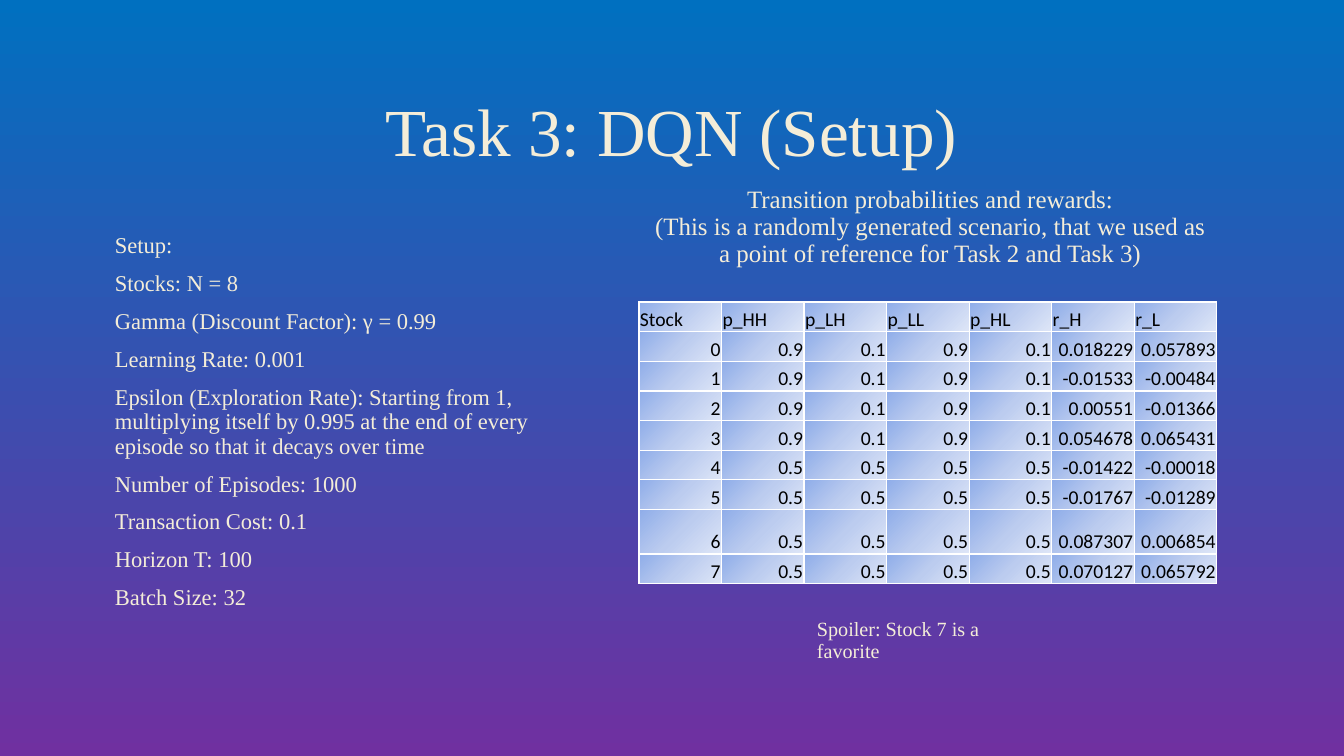
from lxml import etree
from pptx import Presentation
from pptx import util as u
from pptx.dml.color import RGBColor
from pptx.enum import text
from pptx.oxml.ns import qn

PX = 914400 / 100.8
CREAM, BLACK, WHITE, OUTLINE = "F4EDD8", "000000", "FFFFFF", "404040"
SKY, PURPLE = "0070C0", "7030A0"
CELL_STOPS = [(0, "8FADE9"), (50, "BCCCEF"), (100, "DEE6F7")]
SERIF, SANS = "Times New Roman", "Calibri"

SETUP = [
    "Setup:",
    "Stocks: N = 8",
    "Gamma (Discount Factor): γ = 0.99",
    "Learning Rate: 0.001",
    "Epsilon (Exploration Rate): Starting from 1, multiplying itself by 0.995 "
    "at the end of every episode so that it decays over time",
    "Number of Episodes: 1000",
    "Transaction Cost: 0.1",
    "Horizon T: 100",
    "Batch Size: 32",
]
CAPTION = ("Transition probabilities and rewards:\v(This is a randomly generated scenario, "
           "that we used as a point of reference for Task 2 and Task 3)")
HEADER = ["Stock", "p_HH", "p_LH", "p_LL", "p_HL", "r_H", "r_L"]
REWARDS = [
    ("0.018229", "0.057893"), ("-0.01533", "-0.00484"),
    ("0.00551", "-0.01366"), ("0.054678", "0.065431"),
    ("-0.01422", "-0.00018"), ("-0.01767", "-0.01289"),
    ("0.087307", "0.006854"), ("0.070127", "0.065792"),
]
PERSISTENT = ["0.9", "0.1", "0.9", "0.1"]
EVEN = ["0.5"] * 4
ROW_WEIGHTS = [2] * 7 + [3, 2]


def px(length):
    return u.Emu(round(length * PX))


def rgb(color):
    return RGBColor.from_string(color)


def add_xml(parent, tag, **attributes):
    return etree.SubElement(parent, qn(tag), attributes)


def add_color(parent, color, alpha=100):
    value = add_xml(parent, "a:srgbClr", val=color)
    if alpha < 100:
        add_xml(value, "a:alpha", val=str(alpha * 1000))


def format_run(run, size, font, color):
    run.font.size = u.Pt(size)
    run.font.name = font
    run.font.color.rgb = rgb(color)


def add_glow_edge(run):
    """Give the letters a faint outline and a soft drop shadow."""
    properties = run.font._element
    outline = etree.Element(qn("a:ln"), w="9525")
    add_color(add_xml(outline, "a:solidFill"), OUTLINE, 10)
    properties.insert(0, outline)
    effects = etree.Element(qn("a:effectLst"))
    shadow = add_xml(effects, "a:outerShdw", blurRad="38100", dist="25400", dir="2700000")
    add_color(shadow, BLACK, 60)
    properties.find(qn("a:solidFill")).addnext(effects)


def add_text(slide, box, lines, size, centered=False, indent=4):
    frame = slide.shapes.add_textbox(*map(px, box)).text_frame
    frame.word_wrap = True
    frame.text = "\n".join(lines)
    for paragraph in frame.paragraphs:
        paragraph.alignment = text.PP_ALIGN.CENTER if centered else text.PP_ALIGN.LEFT
        paragraph.line_spacing = 0.9
        if indent:
            paragraph.space_before = u.Pt(round(size * 0.23, 1))
            paragraph.space_after = u.Pt(6)
            paragraph._p.get_or_add_pPr().set("marL", str(px(indent)))
        for run in paragraph.runs:
            format_run(run, size, SERIF, CREAM)
            add_glow_edge(run)
    return frame


def style_cell(cell):
    """Add white borders and a diagonal gradient."""
    properties = cell._tc.get_or_add_tcPr()
    for side in ("a:lnL", "a:lnR", "a:lnT", "a:lnB"):
        border = add_xml(properties, side, w="12700")
        add_color(add_xml(border, "a:solidFill"), WHITE)
    gradient = add_xml(properties, "a:gradFill", rotWithShape="1")
    stops = add_xml(gradient, "a:gsLst")
    for position, color in CELL_STOPS:
        add_color(add_xml(stops, "a:gs", pos=str(position * 1000)), color)
    add_xml(gradient, "a:lin", ang=str(45 * 60000), scaled="0")


def add_stock_table(slide, box):
    width, height = box[2:]
    rows = [HEADER]
    for stock, rewards in enumerate(REWARDS):
        rows.append([str(stock), *(PERSISTENT if stock < 4 else EVEN), *rewards])
    table = slide.shapes.add_table(len(rows), len(HEADER), *map(px, box)).table
    table.first_row = table.horz_banding = False
    for column in table.columns:
        column.width = px(width / len(HEADER))
    for row, weight in zip(table.rows, ROW_WEIGHTS):
        row.height = px(height * weight / sum(ROW_WEIGHTS))
    for r, values in enumerate(rows):
        for c, value in enumerate(values):
            cell = table.cell(r, c)
            cell.text_frame.text = value
            cell.margin_left = cell.margin_right = cell.margin_top = px(1)
            cell.margin_bottom = 0
            cell.vertical_anchor = text.MSO_ANCHOR.BOTTOM
            paragraph = cell.text_frame.paragraphs[0]
            paragraph.alignment = text.PP_ALIGN.RIGHT if r else text.PP_ALIGN.LEFT
            format_run(paragraph.runs[0], 14, SANS, BLACK)
            style_cell(cell)


def paint_background(slide):
    fill = slide.background.fill
    fill.gradient()
    fill.gradient_angle = 270
    for stop, color in zip(fill.gradient_stops, (SKY, PURPLE)):
        stop.color.rgb = rgb(color)


def add_scenario(slide, box):
    """Place the caption, the stock table and the spoiler under one another."""
    left, top, width, _ = box
    add_text(slide, (left, top, width, 101), [CAPTION], 17.8, centered=True)
    add_stock_table(slide, (left, top + 120, width, 282))
    add_text(slide, (left + 164, top + 432, 243, 42), ["Spoiler: Stock 7 is a favorite"], 14.4)


def build_setup_slide(slide):
    paint_background(slide)
    title = add_text(slide, (101, 67, 1141, 136), ["Task 3: DQN (Setup)"], 48,
                     centered=True, indent=0)
    title.vertical_anchor = text.MSO_ANCHOR.MIDDLE
    add_text(slide, (101, 229, 440, 409), SETUP, 16.1)
    add_scenario(slide, (639, 182, 578, 474))


def main():
    deck = Presentation()
    deck.slide_width, deck.slide_height = px(1344), px(756)
    build_setup_slide(deck.slides.add_slide(deck.slide_layouts[6]))
    deck.save("out.pptx")


if __name__ == "__main__":
    main()
